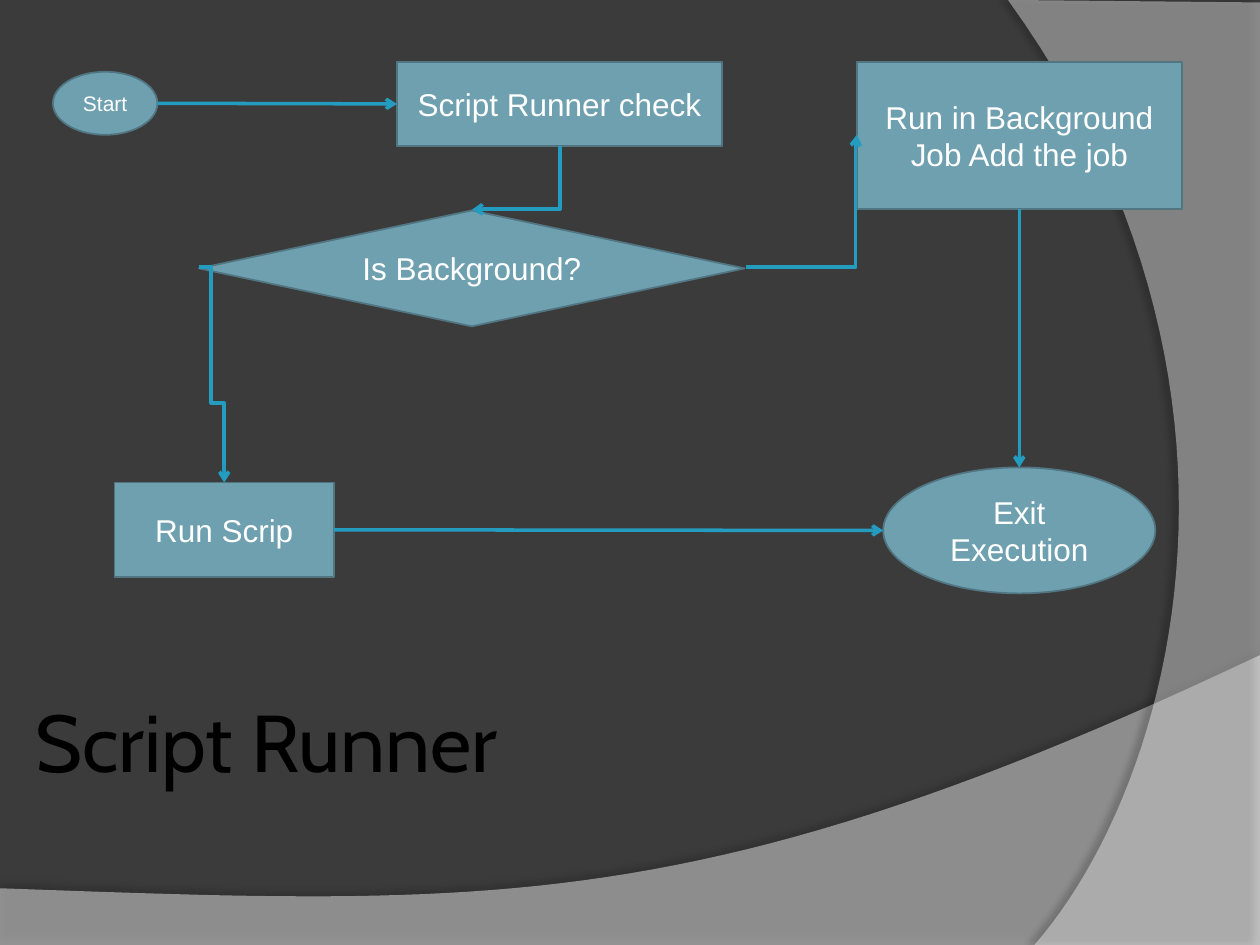
from lxml import etree
from pptx import Presentation
from pptx import util as u
from pptx.dml.color import RGBColor
from pptx.enum import shapes as sh, text as tx
from pptx.oxml.ns import qn

CHARCOAL = RGBColor(0x3B, 0x3B, 0x3B)
TEAL = RGBColor(0x6E, 0xA0, 0xB0)
TEAL_EDGE = RGBColor(0x51, 0x76, 0x82)
ARROW_BLUE = RGBColor(0x24, 0x9C, 0xC0)
WHITE = RGBColor(0xFF, 0xFF, 0xFF)
BLACK = RGBColor(0, 0, 0)

KIND = sh.MSO_SHAPE
LINE = sh.MSO_CONNECTOR
TOP, LEFT, BOTTOM, RIGHT = range(4)


def bezier(p0, p1, p2, p3, steps=48):
    def at(t):
        weights = ((1 - t) ** 3, 3 * t * (1 - t) ** 2, 3 * t ** 2 * (1 - t), t ** 3)
        return tuple(sum(w * p[axis] for w, p in zip(weights, (p0, p1, p2, p3)))
                     for axis in (0, 1))
    return [at(i / steps) for i in range(steps + 1)]


def add_wave(slide, outline, opacity, shadow_opacity, distance, direction):
    points = [(u.Inches(x), u.Inches(y)) for x, y in outline]
    builder = slide.shapes.build_freeform(*points[0])
    builder.add_line_segments(points[1:], close=True)
    wave = builder.convert_to_shape()
    wave.line.fill.background()
    wave.fill.solid()
    wave.fill.fore_color.rgb = WHITE
    color = wave.element.spPr.find(f"{qn('a:solidFill')}/{qn('a:srgbClr')}")
    etree.SubElement(color, qn("a:alpha"), val=str(opacity * 1000))
    effects = etree.SubElement(wave.element.spPr, qn("a:effectLst"))
    shadow = etree.SubElement(effects, qn("a:outerShdw"), blurRad=str(u.Pt(4)),
                              dist=str(u.Pt(distance)), dir=str(direction * 60000),
                              algn="ctr", rotWithShape="0")
    black = etree.SubElement(shadow, qn("a:srgbClr"), val=str(BLACK))
    etree.SubElement(black, qn("a:alpha"), val=str(shadow_opacity * 1000))


def add_backdrop(slide, width, height):
    slide.background.fill.solid()
    slide.background.fill.fore_color.rgb = CHARCOAL
    bottom_curve = bezier((width, 5.2), (5.59, 7.29), (3.91, 7.19), (0, 7.05))
    add_wave(slide, [(0, height), (width, height)] + bottom_curve, 45, 35, 3.5, 270)
    right_curve = bezier((8.21, height), (9.35, 6.19), (10.17, 3), (8, 0))
    add_wave(slide, [(width, 0.02), (width, height)] + right_curve, 40, 45, 4, 180)


def add_step(slide, kind, label, box, size=18):
    step = slide.shapes.add_shape(kind, *map(u.Inches, box))
    step.shadow.inherit = False
    step.fill.solid()
    step.fill.fore_color.rgb = TEAL
    step.line.color.rgb = TEAL_EDGE
    step.line.width = u.Pt(1)
    frame = step.text_frame
    frame.word_wrap = True
    frame.vertical_anchor = tx.MSO_ANCHOR.MIDDLE
    frame.text = label
    for paragraph in frame.paragraphs:
        paragraph.alignment = tx.PP_ALIGN.CENTER
        paragraph.font.size = u.Pt(size)
        paragraph.font.name = "Arial"
        paragraph.font.color.rgb = WHITE
    return step


def side(step, which):
    middle_x, middle_y = step.left + step.width // 2, step.top + step.height // 2
    return {TOP: (middle_x, step.top), LEFT: (step.left, middle_y),
            BOTTOM: (middle_x, step.top + step.height),
            RIGHT: (step.left + step.width, middle_y)}[which]


def add_arrow(slide, kind, start, end):
    arrow = slide.shapes.add_connector(kind, *start, *end)
    arrow.line.color.rgb = ARROW_BLUE
    arrow.line.width = u.Pt(0)
    etree.SubElement(arrow.line._get_or_add_ln(), qn("a:tailEnd"), type="arrow")
    etree.SubElement(arrow.element.spPr, qn("a:effectLst"))
    return arrow


def add_elbow(slide, start, end, bends, turn=0):
    elbow = add_arrow(slide, LINE.ELBOW, map(u.Inches, start), map(u.Inches, end))
    geometry = elbow.element.spPr.find(qn("a:prstGeom"))
    geometry.set("prst", f"bentConnector{len(bends) + 2}")
    guides = geometry.find(qn("a:avLst"))
    if guides is None:
        guides = etree.SubElement(geometry, qn("a:avLst"))
    for number, bend in enumerate(bends, 1):
        etree.SubElement(guides, qn("a:gd"), name=f"adj{number}",
                         fmla=f"val {round(bend * 100000)}")
    if turn:
        elbow.element.spPr.find(qn("a:xfrm")).set("rot", str(turn * 60000))


def add_flowchart(slide, x, y):
    def step(kind, label, left, top, width, height, size=18):
        return add_step(slide, kind, label, (x + left, y + top, width, height), size)

    def elbow(start, end, bends, turn=0):
        add_elbow(slide, (x + start[0], y + start[1]), (x + end[0], y + end[1]), bends, turn)

    begin = step(KIND.OVAL, "Start", 0, 0.08, 0.83, 0.5, 12)
    check = step(KIND.RECTANGLE, "Script Runner check", 2.73, 0, 2.58, 0.67)
    step(KIND.FLOWCHART_DECISION, "Is Background?", 1.16, 1.18, 4.33, 0.92)
    background_job = step(KIND.RECTANGLE, "Run in Background\vJob Add the job",
                          6.38, 0, 2.58, 1.17)
    run_script = step(KIND.RECTANGLE, "Run Scrip", 0.49, 3.34, 1.74, 0.75)
    finish = step(KIND.OVAL, "Exit Execution", 6.59, 3.22, 2.16, 1)

    to_check = add_arrow(slide, LINE.STRAIGHT, side(begin, RIGHT), side(check, LEFT))
    to_check.end_connect(check, LEFT)
    for source, exit_side, entry_side in ((background_job, BOTTOM, TOP),
                                          (run_script, RIGHT, LEFT)):
        to_finish = add_arrow(slide, LINE.STRAIGHT, side(source, exit_side),
                              side(finish, entry_side))
        to_finish.begin_connect(source, exit_side)

    elbow((3.42, 0.57), (3.93, 1.27), [0.99], turn=90)
    elbow((5.5, 1.63), (6.38, 0.58), [0.99])
    elbow((1.16, 1.63), (1.36, 3.34), [0.48, 0.63])


def add_title(slide, box):
    title = slide.shapes.title
    title.left, title.top, title.width, title.height = map(u.Inches, box)
    frame = title.text_frame
    frame.text = "Script Runner"
    frame.word_wrap = True
    frame.vertical_anchor = tx.MSO_ANCHOR.MIDDLE
    frame.margin_left = frame.margin_right = u.Inches(0.05)
    frame.margin_top = frame.margin_bottom = u.Inches(0.05)
    heading = frame.paragraphs[0]
    heading.alignment = tx.PP_ALIGN.LEFT
    heading.font.size = u.Pt(46)
    heading.font.name = "Cabin"
    heading.font.color.rgb = BLACK
    slide.shapes.element.append(title.element)


def main():
    deck = Presentation()
    deck.slide_width, deck.slide_height = u.Inches(10), u.Inches(7.5)
    slide = deck.slides.add_slide(deck.slide_layouts[5])
    add_backdrop(slide, 10, 7.5)
    add_flowchart(slide, 0.42, 0.49)
    add_title(slide, (0.23, 5.25, 3.95, 1.25))
    deck.save("out.pptx")


if __name__ == "__main__":
    main()
